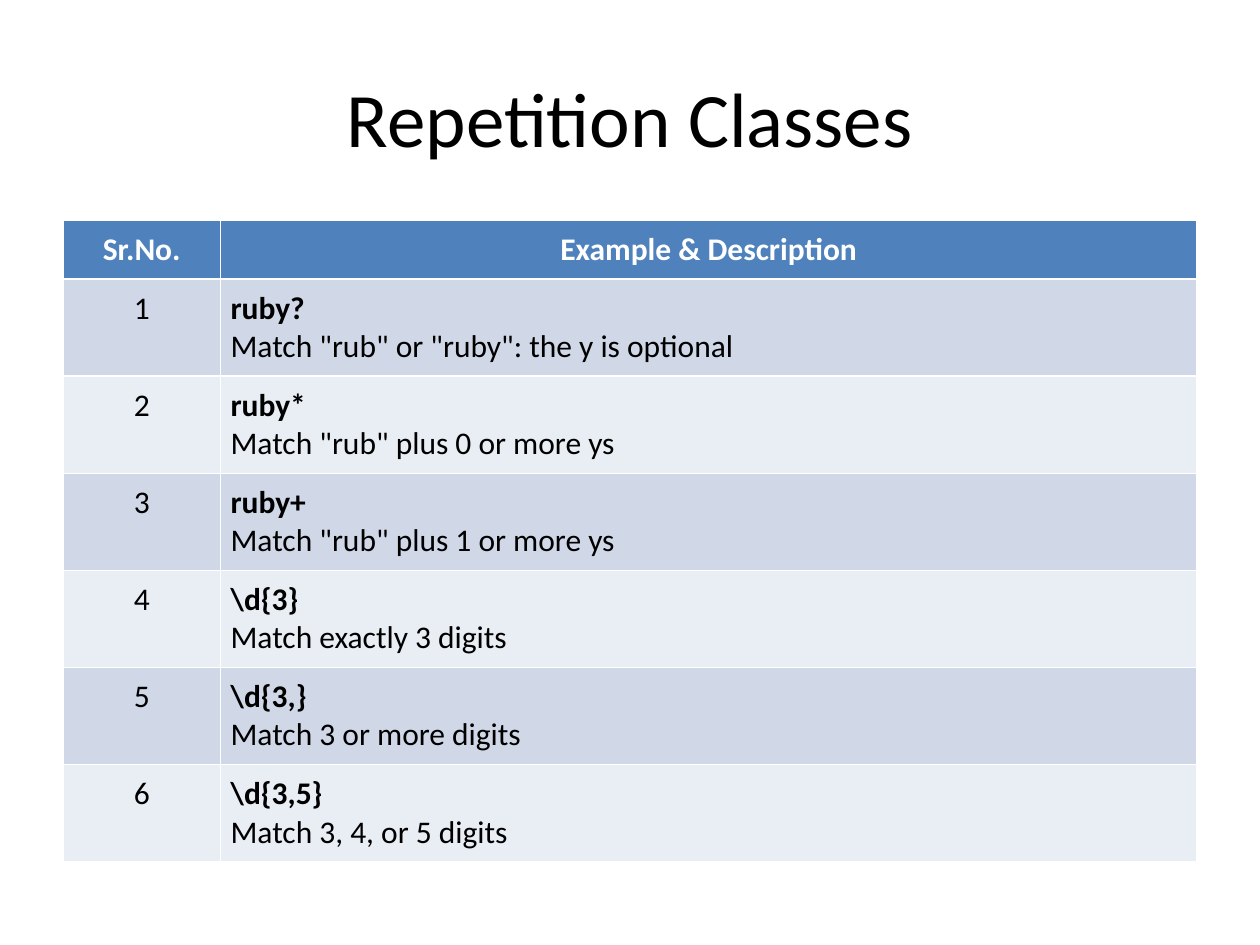
from dataclasses import dataclass

from pptx import Presentation
from pptx.dml.color import RGBColor
from pptx.enum.text import MSO_ANCHOR, PP_ALIGN as Align
from pptx.util import Inches, Pt

BLACK = RGBColor(0x00, 0x00, 0x00)
WHITE = RGBColor(0xFF, 0xFF, 0xFF)
HEADER_BLUE = RGBColor(0x4F, 0x81, 0xBD)
BANDS = (RGBColor(0xD0, 0xD8, 0xE8), RGBColor(0xE9, 0xED, 0xF4))

FONT = "Calibri"
SLIDE_WIDTH, SLIDE_HEIGHT = Inches(10), Inches(7.5)
MARGIN = int(SLIDE_WIDTH * 0.05)
CONTENT_WIDTH = SLIDE_WIDTH - 2 * MARGIN
TABLE_TOP = Inches(1.75)
NUMBER_WIDTH = Inches(1.25)
HEADER_HEIGHT, BODY_HEIGHT = Inches(0.46), Inches(0.77)
CELL_MARGIN = Inches(0.08)


@dataclass(frozen=True)
class Repetition:
    pattern: str
    description: str


REPETITIONS = (
    Repetition("ruby?", 'Match "rub" or "ruby": the y is optional'),
    Repetition("ruby*", 'Match "rub" plus 0 or more ys'),
    Repetition("ruby+", 'Match "rub" plus 1 or more ys'),
    Repetition(r"\d{3}", "Match exactly 3 digits"),
    Repetition(r"\d{3,}", "Match 3 or more digits"),
    Repetition(r"\d{3,5}", "Match 3, 4, or 5 digits"),
)


def write(paragraph, text: str, *, size: float = 18, color: RGBColor = BLACK,
          bold: bool = False, align: Align = Align.CENTER) -> None:
    paragraph.alignment = align
    run = paragraph.add_run()
    run.text = text
    run.font.name = FONT
    run.font.size = Pt(size)
    run.font.bold = bold
    run.font.color.rgb = color


def prepare_cell(cell, fill: RGBColor):
    cell.fill.solid()
    cell.fill.fore_color.rgb = fill
    cell.margin_left = cell.margin_right = CELL_MARGIN
    cell.margin_top = cell.margin_bottom = CELL_MARGIN
    return cell.text_frame


def add_title(slide, text: str) -> None:
    title = slide.shapes.title
    title.left, title.top = MARGIN, Inches(0.3)
    title.width, title.height = CONTENT_WIDTH, Inches(1.25)
    title.text_frame.vertical_anchor = MSO_ANCHOR.MIDDLE
    write(title.text_frame.paragraphs[0], text, size=44)


def add_repetition_table(slide, headings: tuple[str, str],
                         repetitions: tuple[Repetition, ...]) -> None:
    height = HEADER_HEIGHT + BODY_HEIGHT * len(repetitions)
    table = slide.shapes.add_table(len(repetitions) + 1, len(headings), MARGIN,
                                   TABLE_TOP, CONTENT_WIDTH, height).table
    table.columns[0].width = NUMBER_WIDTH
    table.columns[1].width = CONTENT_WIDTH - NUMBER_WIDTH

    table.rows[0].height = HEADER_HEIGHT
    for column, heading in enumerate(headings):
        frame = prepare_cell(table.cell(0, column), HEADER_BLUE)
        write(frame.paragraphs[0], heading, color=WHITE, bold=True)

    for number, repetition in enumerate(repetitions, start=1):
        table.rows[number].height = BODY_HEIGHT
        fill = BANDS[(number - 1) % len(BANDS)]
        number_frame = prepare_cell(table.cell(number, 0), fill)
        write(number_frame.paragraphs[0], str(number))
        frame = prepare_cell(table.cell(number, 1), fill)
        write(frame.paragraphs[0], repetition.pattern, bold=True, align=Align.JUSTIFY)
        write(frame.add_paragraph(), repetition.description, align=Align.JUSTIFY)


def main() -> None:
    presentation = Presentation()
    presentation.slide_width, presentation.slide_height = SLIDE_WIDTH, SLIDE_HEIGHT
    title_only = presentation.slide_layouts.get_by_name("Title Only")
    slide = presentation.slides.add_slide(title_only)
    add_title(slide, "Repetition Classes")
    add_repetition_table(slide, ("Sr.No.", "Example & Description"), REPETITIONS)
    presentation.save("out.pptx")


if __name__ == "__main__":
    main()
